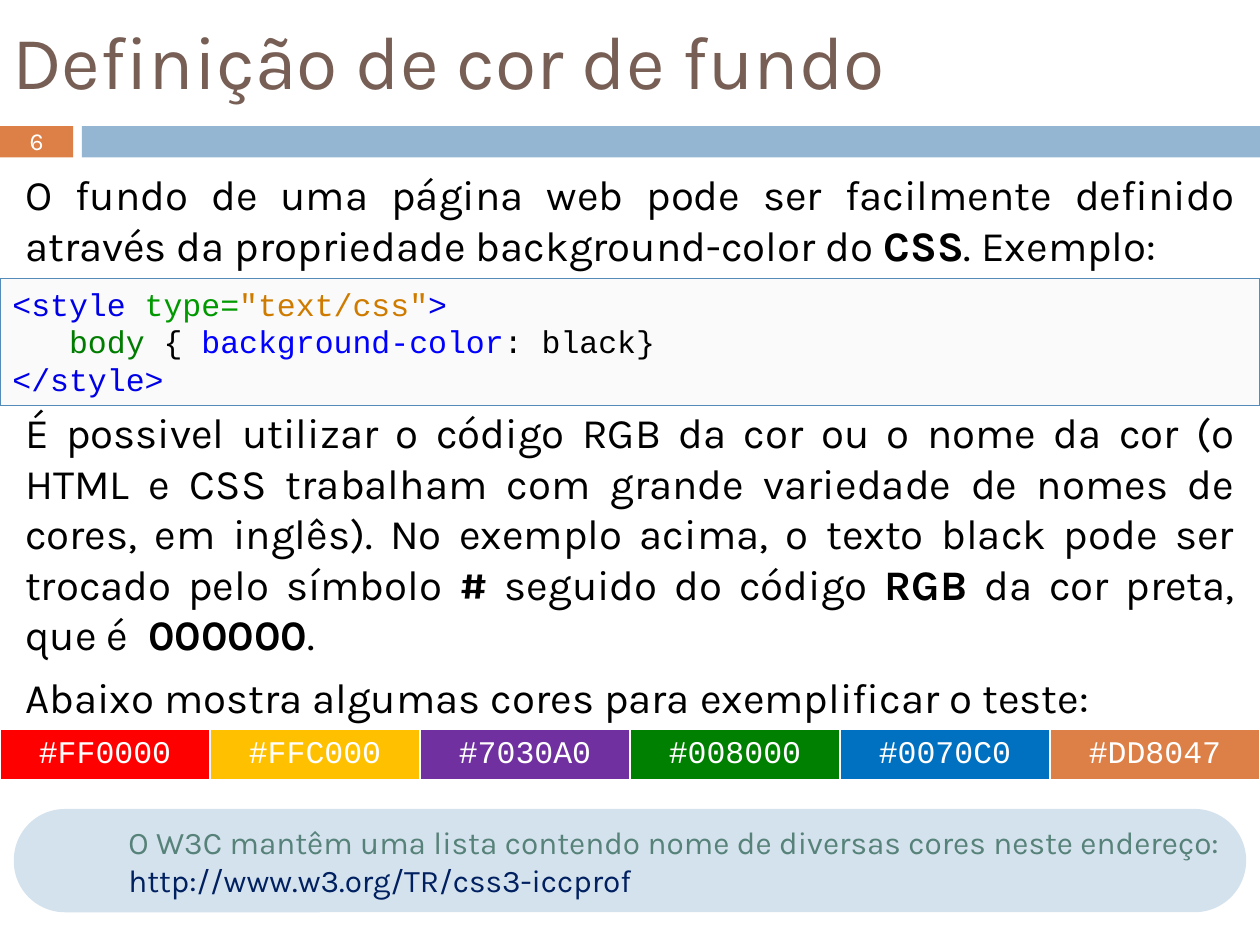
from lxml.etree import SubElement as Sub
from pptx import Presentation
from pptx.dml.color import RGBColor as Rgb
from pptx.enum.shapes import MSO_SHAPE as Kind
from pptx.enum.text import MSO_ANCHOR as Anchor, PP_ALIGN as Align
from pptx.oxml.ns import qn
from pptx.util import Inches, Pt

COLS, ROWS = 100, 75
UNIT = Inches(0.1)
SANS, MONO = "Karla", "Courier New"
HUES = {
    "white": "FFFFFF", "black": "000000", "brown": "775F55",
    "orange": "DD8047", "blue": "94B6D2", "pale": "D4E2ED",
    "paper": "FAFAFA", "edge": "558BB8", "sage": "578279", "navy": "002060",
    "tag": "0000E6", "attr": "009900", "value": "CE7B00",
    "rule": "007C00", "prop": "0000FF",
}
SWATCHES = ["FF0000", "FFC000", "7030A0", "008000", "0070C0", "DD8047"]


def grid(*nums):
    return [round(n * UNIT) for n in nums]


def hue(name):
    return Rgb.from_string(HUES[name])


def style(para, font, size, color, align=Align.LEFT):
    para.alignment = align
    para.font.name, para.font.size = font, Pt(size)
    para.font.color.rgb = hue(color)


def fill_para(para, runs):
    """Add runs given as (text, mark): mark is "bold", a colour name or None."""
    for text, mark in runs:
        run = para.add_run()
        run.text = text
        if mark == "bold":
            run.font.bold = True
        elif mark:
            run.font.color.rgb = hue(mark)


def write(frame, paras, font, size, color, align=Align.LEFT, gap=0):
    frame.word_wrap = True
    for i, runs in enumerate(paras):
        para = frame.add_paragraph() if i else frame.paragraphs[0]
        style(para, font, size, color, align)
        para.space_before = Pt(gap if i else 0)
        fill_para(para, runs)


def add_text(slide, box, paras, *look, pad=1, anchor=Anchor.MIDDLE, **more):
    frame = slide.shapes.add_textbox(*grid(*box)).text_frame
    frame.margin_left = frame.margin_right = grid(pad)[0]
    frame.vertical_anchor = anchor
    write(frame, paras, *look, **more)


def add_block(slide, box, color, kind=Kind.RECTANGLE, edge=None):
    shape = slide.shapes.add_shape(kind, *grid(*box))
    shape.shadow.inherit = False
    shape.fill.solid()
    shape.fill.fore_color.rgb = hue(color)
    if edge:
        shape.line.color.rgb = hue(edge)
        shape.line.width = Pt(0.75)
    else:
        shape.line.fill.background()
    return shape


def add_cap(slide, left, top, wide, high, turn):
    """Add a bar with one round end, pointing left (270) or right (90)."""
    shift = (wide - high) / 2
    box = (left + shift, top - shift, high, wide)
    cap = add_block(slide, box, "pale", Kind.ROUND_2_SAME_RECTANGLE)
    cap.adjustments[0], cap.adjustments[1] = 0.5, 0
    cap.rotation = turn


def add_code(slide, box):
    frame = add_block(slide, box, "paper", edge="edge").text_frame
    frame.vertical_anchor = Anchor.TOP
    write(frame, [
        [("<style ", None), ("type=", "attr"),
         ('"text/css"', "value"), (">", None)],
        [("body", "rule"), (" { ", "black"),
         ("background-color", "prop"), (": black}", "black")],
        [("</style>", None)],
    ], MONO, 18, "tag")
    props = frame.paragraphs[1]._p.get_or_add_pPr()
    props.set("marL", str(Inches(0.45)))
    props.set("indent", "0")


def add_edges(cell):
    props = cell._tc.get_or_add_tcPr()
    for i, side in enumerate(("lnL", "lnR", "lnT", "lnB")):
        line = Sub(props, qn("a:" + side), w=str(Pt(3 if side == "lnB" else 1)))
        paint = Sub(line, qn("a:solidFill"))
        Sub(paint, qn("a:srgbClr"), val=HUES["white"])
        props.insert(i, line)


def add_swatches(slide, box):
    count = len(SWATCHES)
    table = slide.shapes.add_table(1, count, *grid(*box)).table
    table.first_row = table.horz_banding = False
    for cell, code in zip(table.rows[0].cells, SWATCHES):
        cell.fill.solid()
        cell.fill.fore_color.rgb = Rgb.from_string(code)
        cell.vertical_anchor = Anchor.MIDDLE
        write(cell.text_frame, [[("#" + code, None)]],
              MONO, 18, "white", Align.CENTER)
        add_edges(cell)


def add_note(slide, left, top, split, right, high):
    wide = right - split
    add_cap(slide, left, top, split - left, high, 270)
    add_cap(slide, split, top, wide, high, 90)
    add_text(slide, (split, top, wide, high), [[
        ("O W3C mantêm uma lista contendo nome de diversas cores "
         "neste endereço: ", None),
        ("http://www.w3.org/TR/css3-iccprof", "navy"),
    ]], SANS, 18, "sage")


def main():
    deck = Presentation()
    deck.slide_width, deck.slide_height = grid(COLS, ROWS)
    slide = deck.slides.add_slide(deck.slide_layouts[6])

    add_block(slide, (0, 10, 5.8, 2.5), "orange")
    add_block(slide, (6.5, 10, COLS - 6.5, 2.5), "blue")
    add_text(slide, (0, 0, COLS, 9.4),
             [[("Definição de cor de fundo", None)]], SANS, 43, "brown")
    add_text(slide, (0, 9.4, 5.8, 3.5), [[("6", None)]],
             SANS, 14, "white", Align.CENTER)

    body = dict(pad=2, anchor=Anchor.TOP, align=Align.JUSTIFY, gap=7)
    add_text(slide, (0, 12.9, COLS, 9.2), [[
        ("O fundo de uma página web pode ser facilmente definido através "
         "da propriedade background-color do ", None),
        ("CSS", "bold"), (". Exemplo:", None),
    ]], SANS, 24, "black", **body)
    add_text(slide, (0, 31.8, COLS, 26), [[
        ("É possivel utilizar o código RGB da cor ou o nome da cor (o HTML "
         "e CSS trabalham com grande variedade de nomes de cores, em inglês). "
         "No exemplo acima, o texto black pode ser trocado pelo símbolo ",
         None),
        ("#", "bold"), (" seguido do código ", None), ("RGB", "bold"),
        (" da cor preta, que é  ", None), ("000000", "bold"), (".", None),
    ], [
        ("Abaixo mostra algumas cores para exemplificar o teste:", None),
    ]], SANS, 24, "black", **body)

    add_code(slide, (0, 22.1, COLS, 10.1))
    add_swatches(slide, (0, 57.9, COLS, 4.1))
    add_note(slide, 1.1, 64.2, 9.2, 98.9, 8.2)
    deck.save("out.pptx")


if __name__ == "__main__":
    main()
